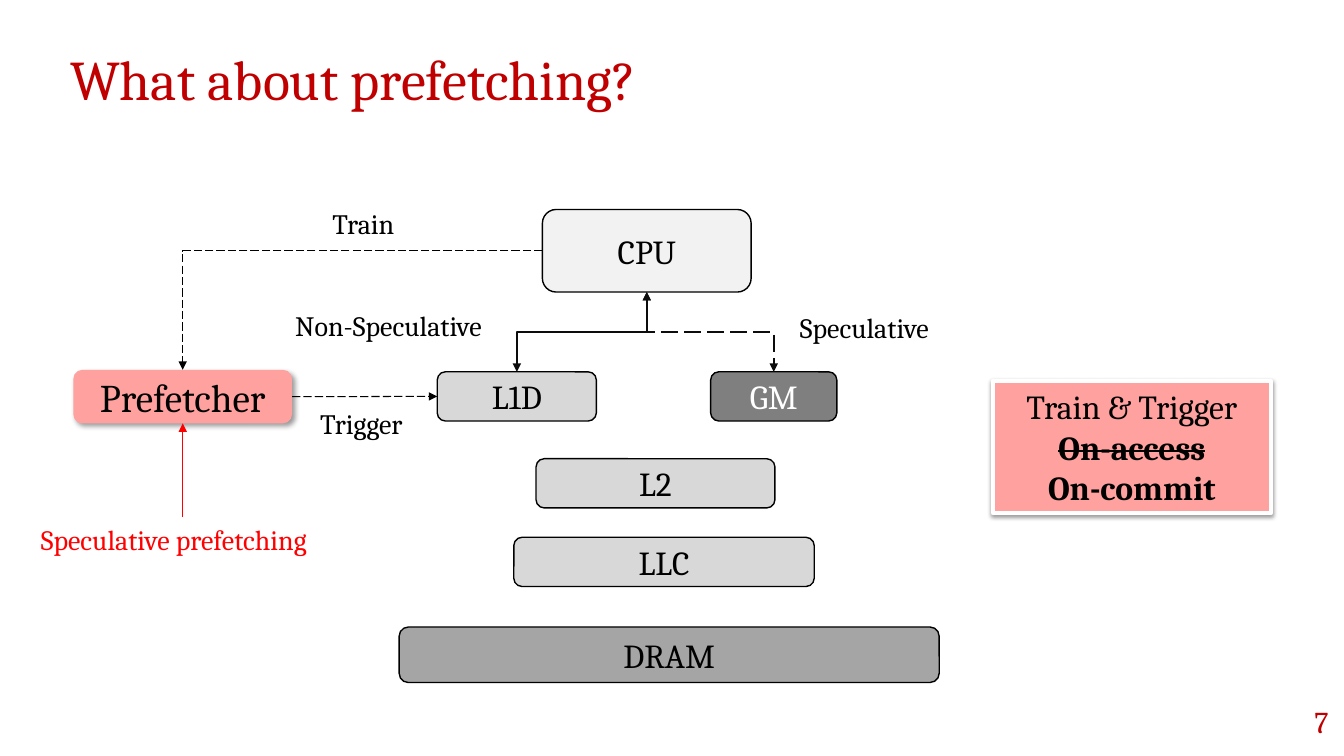
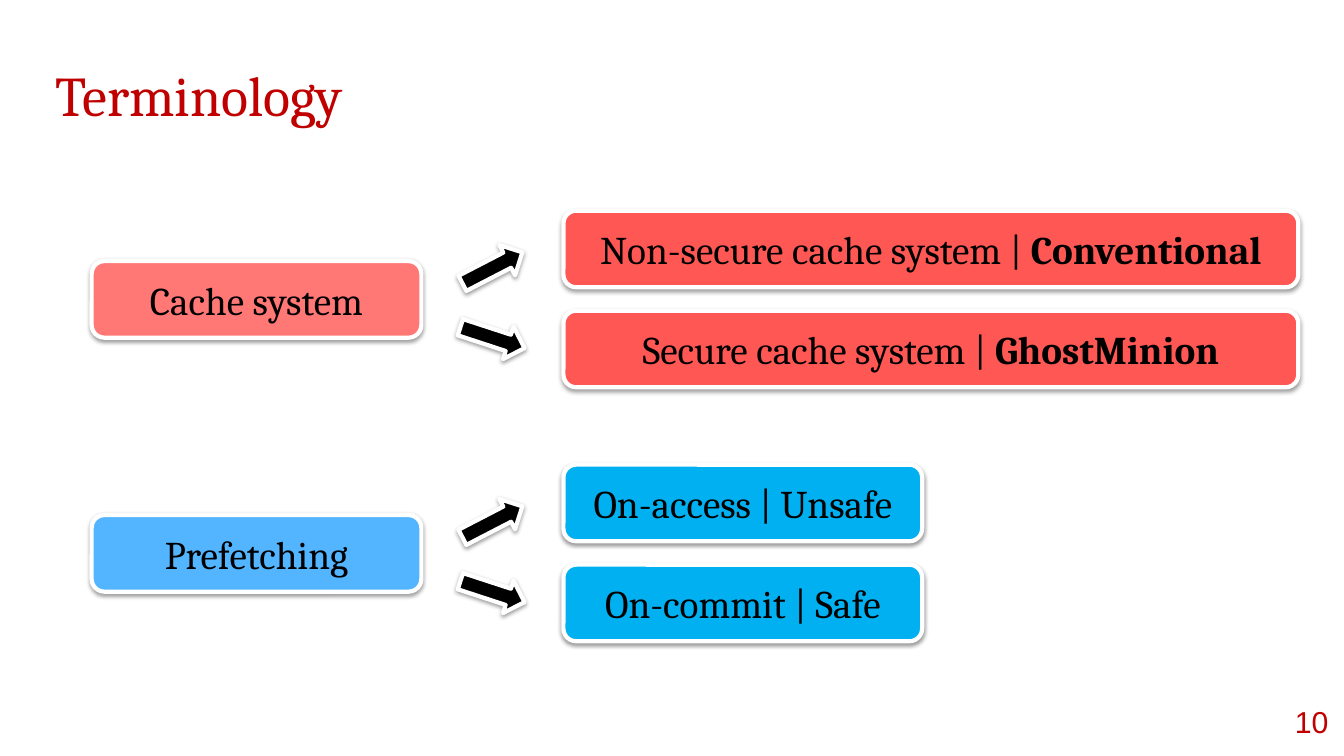
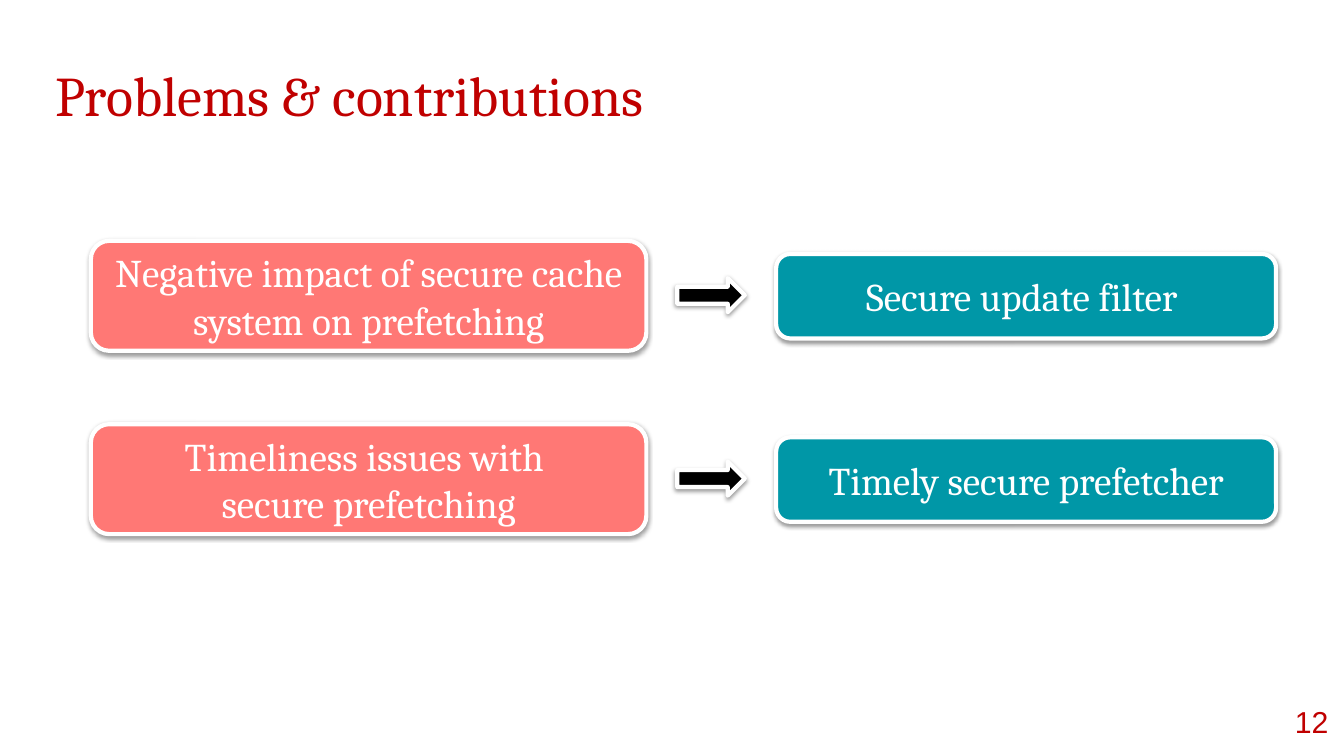
from lxml.etree import SubElement
from pptx import Presentation
from pptx.dml.color import RGBColor
from pptx.enum.dml import MSO_LINE
from pptx.enum.shapes import MSO_CONNECTOR, MSO_SHAPE
from pptx.enum.text import MSO_ANCHOR, MSO_AUTO_SIZE, PP_ALIGN
from pptx.oxml.ns import qn
from pptx.util import Cm, Pt

TOP, LEFT, BOTTOM, RIGHT = range(4)
SOFT_SHADOW = dict(color="000000", alpha=38, blur=3.1, distance=1.6, angle=90)
CORNER_SHADOW = dict(color="000000", alpha=40, blur=4, distance=3, angle=45)


def paint(target, color):
    """Give a fill or a font colour a hex value; None clears a fill."""
    if color is None:
        target.background()
    elif hasattr(target, "solid"):
        target.solid()
        target.fore_color.rgb = RGBColor.from_string(color)
    else:
        target.rgb = RGBColor.from_string(color)


def add_span(para, text, *, size=28, color="000000", font="Cambria", bold=False, strike=False):
    """Append formatted text to a paragraph."""
    span = para.add_run()
    span.text = text
    span.font.name = font
    span.font.size = Pt(size)
    span.font.bold = bold
    paint(span.font.color, color)
    if strike:
        span.font._element.set("strike", "sngStrike")


def add_shadow(shape, color, alpha, blur, distance, angle):
    """Add an outer shadow with lengths in points."""
    effects = shape.element.spPr.find(qn("a:effectLst"))
    outer = SubElement(effects, qn("a:outerShdw"), blurRad=str(Pt(blur)), dist=str(Pt(distance)),
                       dir=str(angle * 60000), algn="ctr", rotWithShape="0")
    tint = SubElement(outer, qn("a:srgbClr"), val=color)
    SubElement(tint, qn("a:alpha"), val=str(alpha * 1000))


class Deck:
    """Holds the shared style and the current page."""

    accent = "C00000"
    title_place = (1.14, 1.27, 31.55, 2.13)
    number_place = (31.34, 17.45, 2.39, 1.45)

    def __init__(self):
        """Start an empty widescreen deck."""
        self.file = Presentation()
        self.file.slide_width, self.file.slide_height = Cm(33.87), Cm(19.05)
        self.page = None

    def fill_frame(self, shape, text, *, align, anchor, margin=0.13, **style):
        """Write one paragraph per line into a shape."""
        frame = shape.text_frame
        frame.word_wrap = True
        frame.auto_size = MSO_AUTO_SIZE.NONE
        frame.vertical_anchor = anchor
        frame.margin_left = frame.margin_right = Cm(0.25)
        frame.margin_top = frame.margin_bottom = Cm(margin)
        for index, line in enumerate(text.split("\n")):
            para = frame.add_paragraph() if index else frame.paragraphs[0]
            para.alignment = align
            add_span(para, line, **style)

    def add_page(self, title, number, place=title_place, number_font="Arial"):
        """Add a page with its title and number."""
        self.page = self.file.slides.add_slide(self.file.slide_layouts[5])
        heading = self.page.shapes.title
        heading.left, heading.top, heading.width, heading.height = map(Cm, place)
        self.fill_frame(heading, title, align=PP_ALIGN.LEFT, anchor=MSO_ANCHOR.TOP,
                        margin=0.25, size=40, color=self.accent)
        self.add_label(number, *self.number_place, align=PP_ALIGN.RIGHT, anchor=MSO_ANCHOR.MIDDLE,
                       margin=0.25, size=21.6, color=self.accent, font=number_font)

    def add_label(self, text, left, top, width, height=1.12, *, align=PP_ALIGN.LEFT,
                  anchor=MSO_ANCHOR.TOP, size=20, **style):
        """Add plain text."""
        label = self.page.shapes.add_textbox(*map(Cm, (left, top, width, height)))
        self.fill_frame(label, text, align=align, anchor=anchor, size=size, **style)
        return label

    def add_box(self, text, left, top, width, height, fill, *, kind=MSO_SHAPE.ROUNDED_RECTANGLE,
                line="FFFFFF", weight=3, shadow=SOFT_SHADOW, anchor=MSO_ANCHOR.MIDDLE, **style):
        """Add a filled shape with centred text."""
        box = self.page.shapes.add_shape(kind, *map(Cm, (left, top, width, height)))
        paint(box.fill, fill)
        paint(box.line.fill, line)
        if line:
            box.line.width = Pt(weight)
        box.shadow.inherit = False
        if shadow:
            add_shadow(box, **shadow)
        if text:
            self.fill_frame(box, text, align=PP_ALIGN.CENTER, anchor=anchor, **style)
        return box

    def add_unit(self, text, left, top, width, height=1.24, fill="D8D8D8", **style):
        """Add a flat outlined hardware block."""
        return self.add_box(text, left, top, width, height, fill, line="000000", weight=1,
                            shadow=None, size=24, **style)

    def add_block_arrow(self, left, top, rotation=0):
        """Add a black block arrow."""
        arrow = self.add_box("", left, top, 1.7, 0.86, "000000", kind=MSO_SHAPE.RIGHT_ARROW)
        arrow.rotation = rotation

    def add_link(self, start, start_side, end, end_side, *, kind=MSO_CONNECTOR.STRAIGHT,
                 color="000000", weight=0.75, dashed=False, both=False):
        """Join two shapes with an arrow."""
        link = self.page.shapes.add_connector(kind, 0, 0, 0, 0)
        link.begin_connect(start, start_side)
        link.end_connect(end, end_side)
        paint(link.line.fill, color)
        link.line.width = Pt(weight)
        if dashed:
            link.line.dash_style = MSO_LINE.LONG_DASH
        outline = link.line._get_or_add_ln()
        for tag in ("a:headEnd", "a:tailEnd") if both else ("a:tailEnd",):
            SubElement(outline, qn(tag), type="triangle")
        SubElement(link.element.spPr, qn("a:effectLst"))
        return link

    def add_corner(self, *ends, **style):
        """Join two shapes with one right-angle turn."""
        link = self.add_link(*ends, kind=MSO_CONNECTOR.ELBOW, **style)
        link.element.spPr.find(qn("a:prstGeom")).set("prst", "bentConnector2")

    def add_fork(self, start, end, **style):
        """Join a shape's bottom to a lower shape's top with two turns."""
        link = self.add_link(start, BOTTOM, end, TOP, kind=MSO_CONNECTOR.ELBOW,
                             color="0C0C0C", weight=1.5, both=True, **style)
        rightward = link.end_x > link.begin_x
        middle_x, middle_y = link.left + link.width // 2, link.top + link.height // 2
        width, height = link.height, link.width
        link.left, link.top = middle_x - width // 2, middle_y - height // 2
        link.width, link.height = width, height
        frame = link.element.spPr.find(qn("a:xfrm"))
        frame.set("rot", str((270 if rightward else 90) * 60000))
        frame.set("flipH", "1" if rightward else "0")


def build_prefetching(deck):
    """Draw the memory hierarchy with its prefetcher."""
    deck.add_page("What about prefetching?", "7", (1.52, 0.86, 31.22, 2.36), "Cambria")
    level_one = deck.add_unit("L1D", 11.02, 9.37, 4.01)
    deck.add_unit("L2", 13.51, 11.56, 6.02)
    deck.add_unit("LLC", 12.95, 13.54, 7.57)
    deck.add_unit("DRAM", 10.06, 15.8, 13.61, 1.4, "A5A5A5")
    processor = deck.add_unit("CPU", 13.67, 5.28, 5.26, 2.08, "F2F2F2")
    ghost = deck.add_unit("GM", 17.91, 9.37, 3.18, fill="7F7F7F", color="FFFFFF")
    prefetcher = deck.add_box("Prefetcher", 1.85, 9.32, 5.51, 1.35, "FFA19F",
                              line=None, shadow=CORNER_SHADOW)
    deck.add_fork(processor, level_one)
    deck.add_fork(processor, ghost, dashed=True)
    deck.add_corner(processor, LEFT, prefetcher, TOP, dashed=True)
    deck.add_link(prefetcher, RIGHT, level_one, LEFT, dashed=True)
    for text, left, top, width in (("Speculative", 19.91, 7.7, 3.99),
                                   ("Non-Speculative", 7.19, 7.65, 5.49),
                                   ("Train", 8.13, 5.08, 2.16),
                                   ("Trigger", 7.82, 10.11, 2.77)):
        deck.add_label(text, left, top, width)
    warning = deck.add_label("Speculative prefetching", 0.78, 13.03, 7.65, color="FF0000")
    deck.add_link(warning, TOP, prefetcher, BOTTOM, color="FF0000")
    policy = deck.add_box("Train & Trigger", 25.02, 9.6, 7.01, 3.33, "FFA19F",
                          kind=MSO_SHAPE.RECTANGLE, anchor=MSO_ANCHOR.TOP, size=24)
    for text, strike in (("On-access", True), ("On-commit", False)):
        para = policy.text_frame.add_paragraph()
        para.alignment = PP_ALIGN.CENTER
        add_span(para, text, size=24, bold=True, strike=strike)


def build_terminology(deck):
    """Draw two topics, each split into two options."""
    deck.add_page("Terminology", "10")
    topics = (
        ("Cache system", "FF7875", "FF5753", 18.52,
         (("Non-secure cache system | ", "Conventional"), ("Secure cache system | ", "GhostMinion"))),
        ("Prefetching", "53B5FF", "00B0F0", 9.04,
         (("On-access | Unsafe", ""), ("On-commit | Safe", ""))),
    )
    for row, (topic, topic_fill, option_fill, width, options) in enumerate(topics):
        shift = 6.4 * row
        deck.add_box(topic, 2.31, 6.58 + shift, 8.31, 1.93, topic_fill)
        deck.add_block_arrow(11.56, 6.32 + shift, -27.4)
        deck.add_block_arrow(11.56, 8.08 + shift, 18.1)
        for index, (text, strong) in enumerate(options):
            option = deck.add_box(text, 14.2, 5.31 + shift + 2.52 * index, width, 1.93, option_fill)
            if strong:
                add_span(option.text_frame.paragraphs[0], strong, bold=True)


def build_contributions(deck):
    """Draw each problem with the contribution that answers it."""
    deck.add_page("Problems & contributions", "12")
    pairs = (
        ("Negative impact of secure cache system on prefetching", "Secure update filter "),
        ("Timeliness issues with \nsecure prefetching", "Timely secure prefetcher"),
    )
    for row, (problem, contribution) in enumerate(pairs):
        shift = 4.62 * row
        deck.add_box(problem, 2.29, 6.07 + shift, 14, 2.77, "FF7875", color="FFFFFF")
        deck.add_box(contribution, 19.56, 6.4 + shift, 12.6, 2.13, "0097A7", color="FFFFFF")
        deck.add_block_arrow(17.07, 7.01 + shift)


def main():
    """Build and save the deck."""
    deck = Deck()
    build_prefetching(deck)
    build_terminology(deck)
    build_contributions(deck)
    deck.file.save("out.pptx")


if __name__ == "__main__":
    main()
